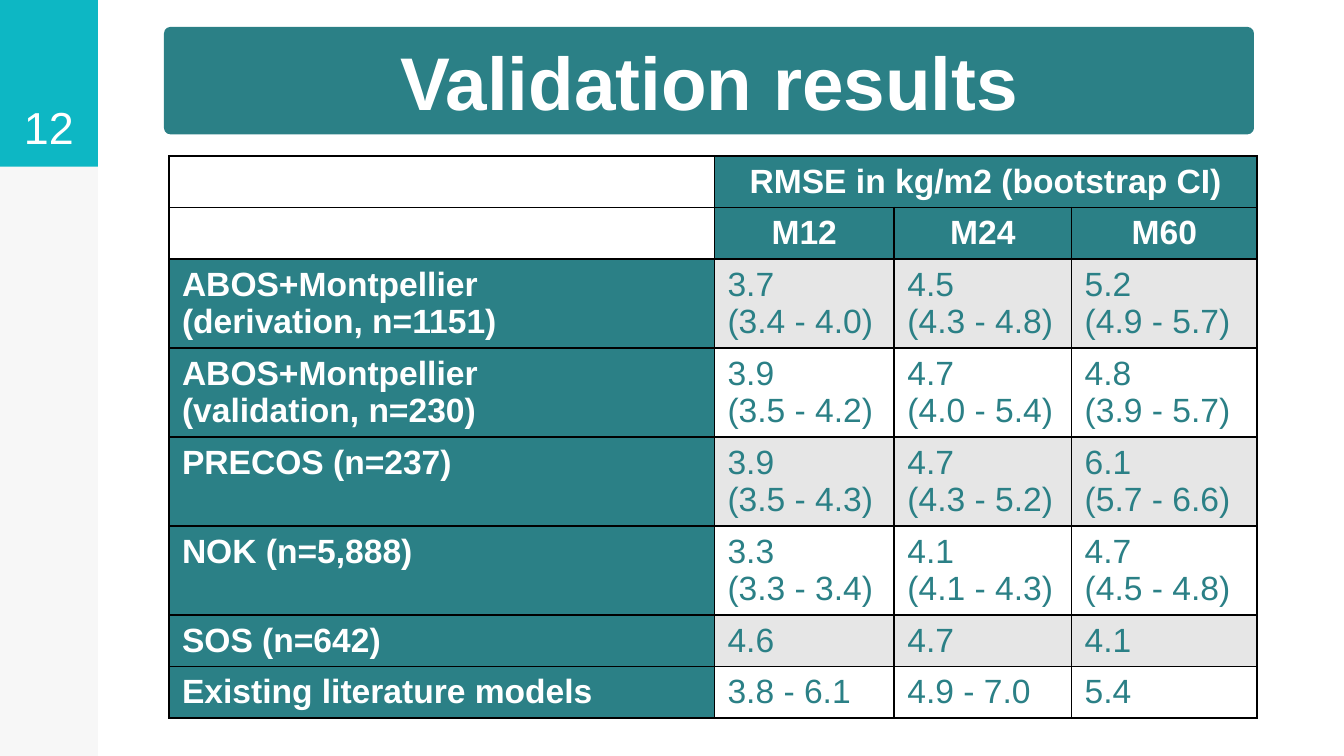
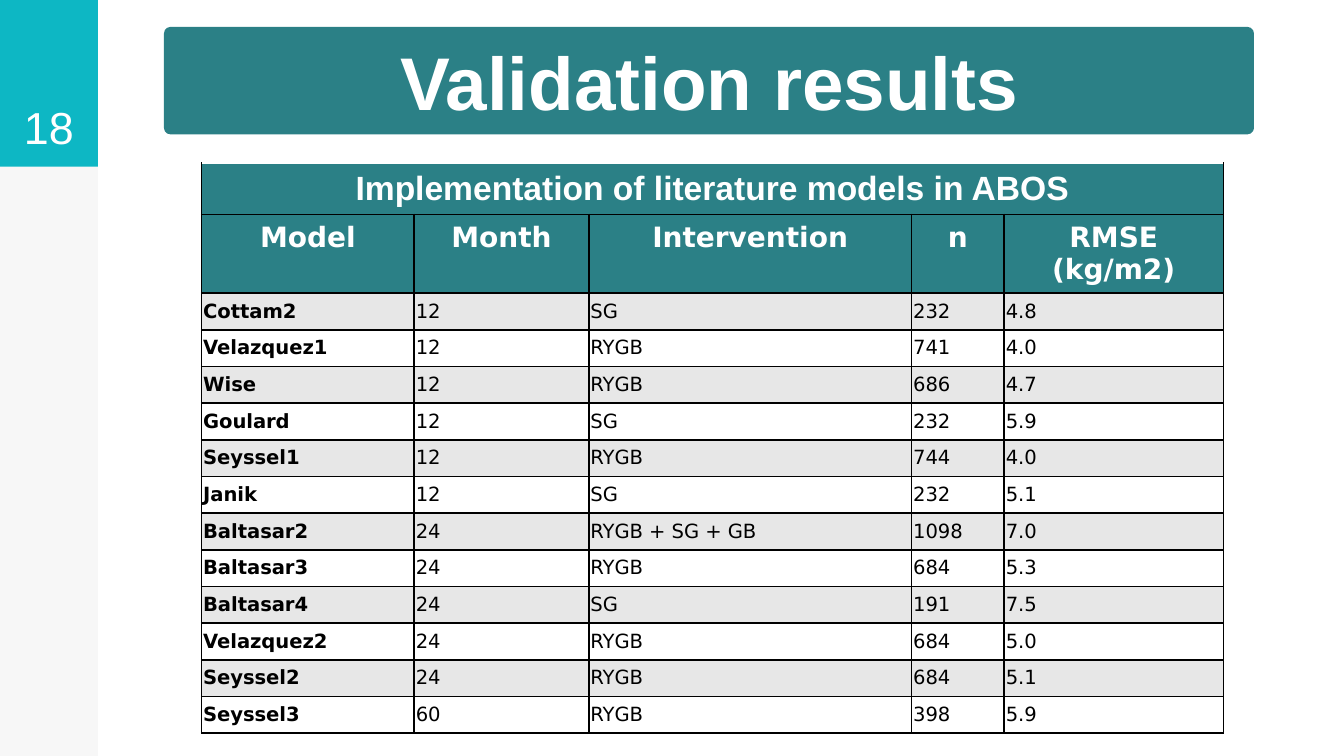
"""Build two slides with validation results of weight prediction models."""
from dataclasses import dataclass
from typing import Callable, Optional

from lxml import etree
from pptx import Presentation
from pptx import util as u
from pptx.dml.color import RGBColor
from pptx.enum import shapes, text
from pptx.oxml.ns import qn

TEAL = RGBColor(0x2B, 0x80, 0x86)
CYAN = RGBColor(0x0D, 0xB7, 0xC4)
SIDEBAR = RGBColor(0xF7, 0xF7, 0xF7)
BAND = RGBColor(0xE6, 0xE6, 0xE6)
LIGHT_BAND = RGBColor(0xE7, 0xE7, 0xE7)
WHITE = RGBColor(0xFF, 0xFF, 0xFF)
BLACK = RGBColor(0, 0, 0)
SANS = "Arial"
DEJAVU = "DejaVu Sans"
LEFT, CENTER = text.PP_ALIGN.LEFT, text.PP_ALIGN.CENTER
TITLE_ONLY = 5
PAGE_WIDTH, PAGE_HEIGHT = u.Cm(25.4), u.Cm(14.29)
SIDE_WIDTH = u.Cm(1.85)


@dataclass(frozen=True)
class TextStyle:
    """Look of a run of paragraphs."""
    size: float
    color: RGBColor
    bold: bool = False
    align: text.PP_ALIGN = LEFT
    name: str = SANS


@dataclass(frozen=True)
class CellStyle:
    """Text look and fill of a table cell."""
    words: TextStyle
    fill: Optional[RGBColor]


@dataclass(frozen=True)
class Box:
    """Place and size in centimetres."""
    left: float
    top: float
    width: float
    height: float

    def lengths(self) -> list[u.Length]:
        """Return the four values as lengths."""
        return [u.Cm(value) for value in (self.left, self.top, self.width, self.height)]


@dataclass(frozen=True)
class ResultTable:
    """Content, measures and style rule of one table."""
    left: float
    top: float
    columns: list[float]
    heights: list[float]
    rows: list[list[str]]
    heading_start: int
    side_inset: float
    top_line: bool
    style: Callable[[int, int], CellStyle]


BANNER = Box(3.1, 0.51, 20.6, 2.03)
TITLE = TextStyle(40, WHITE, True, CENTER)
PAGE_NUMBER = TextStyle(24, WHITE, align=CENTER)
HEADING = TextStyle(18, WHITE, True, CENTER)
COHORT = TextStyle(18, WHITE, True)
RMSE = TextStyle(18, TEAL)
COLUMN_HEADING = TextStyle(15, WHITE, True, CENTER, DEJAVU)
MODEL = TextStyle(10.5, BLACK, True, name=DEJAVU)
VALUE = TextStyle(10.5, BLACK, name=DEJAVU)


def cohort_style(row: int, column: int) -> CellStyle:
    """Style the table of cohorts."""
    if row < 2:
        return CellStyle(HEADING, TEAL if column else WHITE)
    if column == 0:
        return CellStyle(COHORT, TEAL)
    return CellStyle(RMSE, WHITE if row % 2 else BAND)


def literature_style(row: int, column: int) -> CellStyle:
    """Style the table of literature models."""
    if row < 2:
        return CellStyle(COLUMN_HEADING if row else HEADING, TEAL)
    return CellStyle(VALUE if column else MODEL, None if row % 2 else LIGHT_BAND)


COHORTS = ResultTable(
    left=3.19, top=2.95,
    columns=[10.31, 3.4, 3.35, 3.51],
    heights=[0.97] * 2 + [1.68] * 4 + [0.97] * 2,
    rows=[
        ["", "RMSE in kg/m2 (bootstrap CI)"],
        ["", "M12", "M24", "M60"],
        ["ABOS+Montpellier\n(derivation, n=1151)",
         "3.7\n(3.4 - 4.0)", "4.5\n(4.3 - 4.8)", "5.2\n(4.9 - 5.7)"],
        ["ABOS+Montpellier\n(validation, n=230)",
         "3.9\n(3.5 - 4.2)", "4.7\n(4.0 - 5.4)", "4.8\n(3.9 - 5.7)"],
        ["PRECOS (n=237)", "3.9\n(3.5 - 4.3)", "4.7\n(4.3 - 5.2)", "6.1\n(5.7 - 6.6)"],
        ["NOK (n=5,888)", "3.3\n(3.3 - 3.4)", "4.1\n(4.1 - 4.3)", "4.7\n(4.5 - 4.8)"],
        ["SOS (n=642)", "4.6", "4.7", "4.1"],
        ["Existing literature models", "3.8 - 6.1", "4.9 - 7.0", "5.4"],
    ],
    heading_start=1, side_inset=0.25, top_line=True, style=cohort_style,
)

LITERATURE = ResultTable(
    left=3.81, top=3.08,
    columns=[4.02, 3.3, 6.1, 1.75, 4.14],
    heights=[0.97, 1.47] + [0.69] * 12,
    rows=[
        ["Implementation of literature models in ABOS"],
        ["Model", "Month", "Intervention", "n", "RMSE (kg/m2)"],
        ["Cottam2", "12", "SG", "232", "4.8"],
        ["Velazquez1", "12", "RYGB", "741", "4.0"],
        ["Wise", "12", "RYGB", "686", "4.7"],
        ["Goulard", "12", "SG", "232", "5.9"],
        ["Seyssel1", "12", "RYGB", "744", "4.0"],
        ["Janik", "12", "SG", "232", "5.1"],
        ["Baltasar2", "24", "RYGB + SG + GB", "1098", "7.0"],
        ["Baltasar3", "24", "RYGB", "684", "5.3"],
        ["Baltasar4", "24", "SG", "191", "7.5"],
        ["Velazquez2", "24", "RYGB", "684", "5.0"],
        ["Seyssel2", "24", "RYGB", "684", "5.1"],
        ["Seyssel3", "60", "RYGB", "398", "5.9"],
    ],
    heading_start=0, side_inset=0.03, top_line=False, style=literature_style,
)


def format_text(frame, style: TextStyle) -> None:
    """Apply one style to all paragraphs of a text frame."""
    for para in frame.paragraphs:
        para.alignment = style.align
        para.font.size = u.Pt(style.size)
        para.font.name = style.name
        para.font.bold = style.bold
        para.font.color.rgb = style.color


def add_block(page, kind: shapes.MSO_SHAPE, lengths: list[u.Length], color: RGBColor):
    """Add a plain filled shape."""
    block = page.shapes.add_shape(kind, *lengths)
    block.shadow.inherit = False
    block.fill.solid()
    block.fill.fore_color.rgb = color
    block.line.fill.background()
    return block


def add_frame(page, number: int, title: str) -> None:
    """Add the side band, page number and title banner."""
    rectangle = shapes.MSO_SHAPE.RECTANGLE
    add_block(page, rectangle, [0, 0, SIDE_WIDTH, PAGE_HEIGHT], SIDEBAR)
    tab = add_block(page, rectangle, [0, 0, SIDE_WIDTH, u.Cm(3.15)], CYAN)
    frame = tab.text_frame
    frame.text = str(number)
    frame.vertical_anchor = text.MSO_ANCHOR.BOTTOM
    frame.margin_left = frame.margin_right = u.Cm(0.25)
    frame.margin_top = frame.margin_bottom = u.Cm(0.25)
    format_text(frame, PAGE_NUMBER)

    banner = add_block(page, shapes.MSO_SHAPE.ROUNDED_RECTANGLE, BANNER.lengths(), TEAL)
    banner.adjustments[0] = 0.06
    heading = page.shapes.title
    heading.left, heading.top, heading.width, heading.height = BANNER.lengths()
    heading.text_frame.text = title
    heading.text_frame.vertical_anchor = text.MSO_ANCHOR.MIDDLE
    heading.text_frame.auto_size = text.MSO_AUTO_SIZE.NONE
    format_text(heading.text_frame, TITLE)
    banner.element.addnext(heading.element)


def add_borders(cell, sides: str) -> None:
    """Draw thin black lines on the given sides of a cell."""
    properties = cell._tc.get_or_add_tcPr()
    for side in sides:
        line = etree.SubElement(properties, qn(f"a:ln{side}"), w=str(u.Pt(1)))
        fill = etree.SubElement(line, qn("a:solidFill"))
        etree.SubElement(fill, qn("a:srgbClr"), val=str(BLACK))


def add_results(page, results: ResultTable) -> None:
    """Add a table with its merged heading, fills and borders."""
    box = Box(results.left, results.top, sum(results.columns), sum(results.heights))
    table = page.shapes.add_table(
        len(results.heights), len(results.columns), *box.lengths()).table
    table.horz_banding = table.first_row = False
    for column, width in zip(table.columns, results.columns):
        column.width = u.Cm(width)
    for row, height in zip(table.rows, results.heights):
        row.height = u.Cm(height)
    table.cell(0, results.heading_start).merge(table.cell(0, len(results.columns) - 1))

    for r, row in enumerate(table.rows):
        for c, cell in enumerate(row.cells):
            style = results.style(r, c)
            if c < len(results.rows[r]):
                cell.text = results.rows[r][c]
            format_text(cell.text_frame, style.words)
            cell.margin_left = cell.margin_right = u.Cm(results.side_inset)
            cell.margin_top = cell.margin_bottom = u.Cm(0.13)
            add_borders(cell, "LRTB" if r or results.top_line else "LRB")
            if style.fill is None:
                cell.fill.background()
            else:
                cell.fill.solid()
                cell.fill.fore_color.rgb = style.fill


def main() -> None:
    """Build and save the deck."""
    deck = Presentation()
    deck.slide_width, deck.slide_height = PAGE_WIDTH, PAGE_HEIGHT
    for number, results in ((12, COHORTS), (18, LITERATURE)):
        page = deck.slides.add_slide(deck.slide_layouts[TITLE_ONLY])
        add_frame(page, number, "Validation results")
        add_results(page, results)
    deck.save("out.pptx")


if __name__ == "__main__":
    main()
